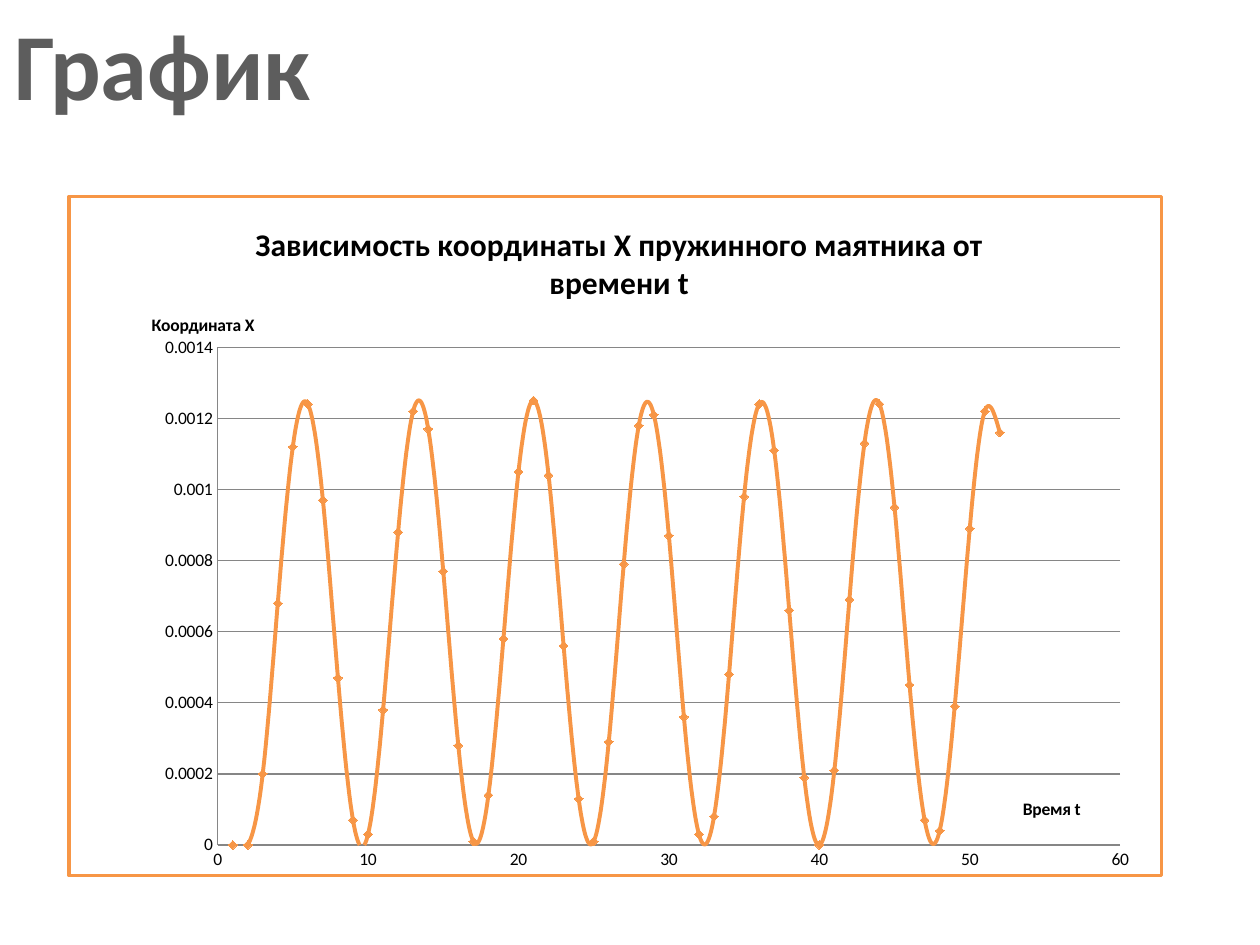
import pptx
import pptx.util
import pptx.chart.data
import pptx.dml.color
import pptx.enum.chart
import pptx.enum.shapes
import pptx.enum.text
import pptx.oxml
import pptx.oxml.ns

Pt = pptx.util.Pt
RGB = pptx.dml.color.RGBColor
qn = pptx.oxml.ns.qn
ORANGE = RGB(0xF7, 0x96, 0x46)
GRAY = RGB(0x5D, 0x5D, 0x5D)
RULE = RGB(0x86, 0x86, 0x86)
BLACK = RGB(0, 0, 0)
WHITE = RGB(0xFF, 0xFF, 0xFF)
FONT = "Calibri"

COORDS = [
    0, 0, 0.0002, 0.00068, 0.00112, 0.00124, 0.00097, 0.00047, 0.00007,
    0.00003, 0.00038, 0.00088, 0.00122, 0.00117, 0.00077, 0.00028, 0.00001,
    0.00014, 0.00058, 0.00105, 0.00125, 0.00104, 0.00056, 0.00013, 0.00001,
    0.00029, 0.00079, 0.00118, 0.00121, 0.00087, 0.00036, 0.00003, 0.00008,
    0.00048, 0.00098, 0.00124, 0.00111, 0.00066, 0.00019, 0, 0.00021,
    0.00069, 0.00113, 0.00124, 0.00095, 0.00045, 0.00007, 0.00004, 0.00039,
    0.00089, 0.00122, 0.00116,
]


def style(font, size, color, bold=False):
    font.name = FONT
    font.size = Pt(size)
    font.bold = bold
    font.color.rgb = color


def add_frame(slide):
    kind = pptx.enum.shapes.MSO_SHAPE.RECTANGLE
    frame = slide.shapes.add_shape(kind, Pt(39.6), Pt(112.3), Pt(624.2), Pt(388.1))
    frame.shadow.inherit = False
    frame.fill.solid()
    frame.fill.fore_color.rgb = WHITE
    frame.line.color.rgb = ORANGE
    frame.line.width = Pt(2)


def add_head(slide, text):
    box = slide.shapes.add_textbox(0, 0, Pt(185.8), Pt(72.7))
    box.text_frame.word_wrap = False
    box.text_frame.auto_size = pptx.enum.text.MSO_AUTO_SIZE.SHAPE_TO_FIT_TEXT
    para = box.text_frame.paragraphs[0]
    para.text = text
    para.alignment = pptx.enum.text.PP_ALIGN.CENTER
    style(para.font, 54, GRAY, True)


def place(holder, index, target=None, **sides):
    layout = holder.find(qn("c:layout"))
    if layout is not None:
        holder.remove(layout)
    parts = [("layoutTarget", target)] if target else []
    parts += [("xMode", "edge"), ("yMode", "edge"), *sides.items()]
    body = "".join(f'<c:{tag} val="{val}"/>' for tag, val in parts)
    space = pptx.oxml.ns.nsdecls("c")
    holder.insert(index, pptx.oxml.parse_xml(
        f"<c:layout {space}><c:manualLayout>{body}</c:manualLayout></c:layout>"))


def set_title(title, text, size):
    frame = title.text_frame
    frame.text = text
    style(frame.paragraphs[0].font, size, BLACK, True)
    return frame


def set_axis(axis, text, top, step, left, down):
    axis.minimum_scale = 0
    axis.maximum_scale = top
    axis.major_unit = step
    axis.major_tick_mark = pptx.enum.chart.XL_TICK_MARK.NONE
    axis.minor_tick_mark = pptx.enum.chart.XL_TICK_MARK.NONE
    axis.tick_labels.number_format = "General"
    axis.tick_labels.number_format_is_linked = False
    style(axis.tick_labels.font, 10, BLACK)
    axis.format.line.color.rgb = RULE
    frame = set_title(axis.axis_title, text, 10)
    body = frame._txBody.find(qn("a:bodyPr"))
    body.set("rot", "0")
    body.set("vert", "horz")
    place(axis.axis_title._element, 1, x=left, y=down)


def set_curve(series):
    series.format.line.color.rgb = ORANGE
    series.format.line.width = Pt(2.25)
    marker = series.marker
    marker.style = pptx.enum.chart.XL_MARKER_STYLE.DIAMOND
    marker.size = 5
    marker.format.fill.solid()
    marker.format.fill.fore_color.rgb = ORANGE
    marker.format.line.color.rgb = ORANGE
    series._element.find(qn("c:smooth")).set("val", "1")


def add_graph(slide):
    data = pptx.chart.data.XyChartData()
    points = data.add_series("Series 1")
    for time, coord in enumerate(COORDS, 1):
        points.add_data_point(time, coord)
    kind = pptx.enum.chart.XL_CHART_TYPE.XY_SCATTER_SMOOTH
    chart = slide.shapes.add_chart(
        kind, Pt(44.6), Pt(112.3), Pt(618.5), Pt(388.1), data).chart
    style(chart.font, 10, BLACK)
    chart.has_legend = False
    set_title(chart.chart_title,
              "Зависимость координаты X пружинного маятника от времени t", 18)
    set_axis(chart.category_axis, "Время t", 60, 10, 0.87, 0.88)
    set_axis(chart.value_axis, "Координата X", 0.0014, 0.0002, 0.065, 0.167)
    chart.category_axis.has_major_gridlines = False
    chart.value_axis.has_major_gridlines = True
    chart.value_axis.major_gridlines.format.line.color.rgb = RULE
    plot = chart.plots[0]
    plot.vary_by_categories = False
    set_curve(plot.series[0])
    area = chart._chartSpace.chart.plotArea
    place(area, 0, "inner", x=0.129, y=0.222, w=0.834, h=0.733)


def main():
    deck = pptx.Presentation()
    deck.slide_width = Pt(720)
    deck.slide_height = Pt(540)
    slide = deck.slides.add_slide(deck.slide_layouts[6])
    add_frame(slide)
    add_head(slide, "График")
    add_graph(slide)
    deck.save("out.pptx")


main()
